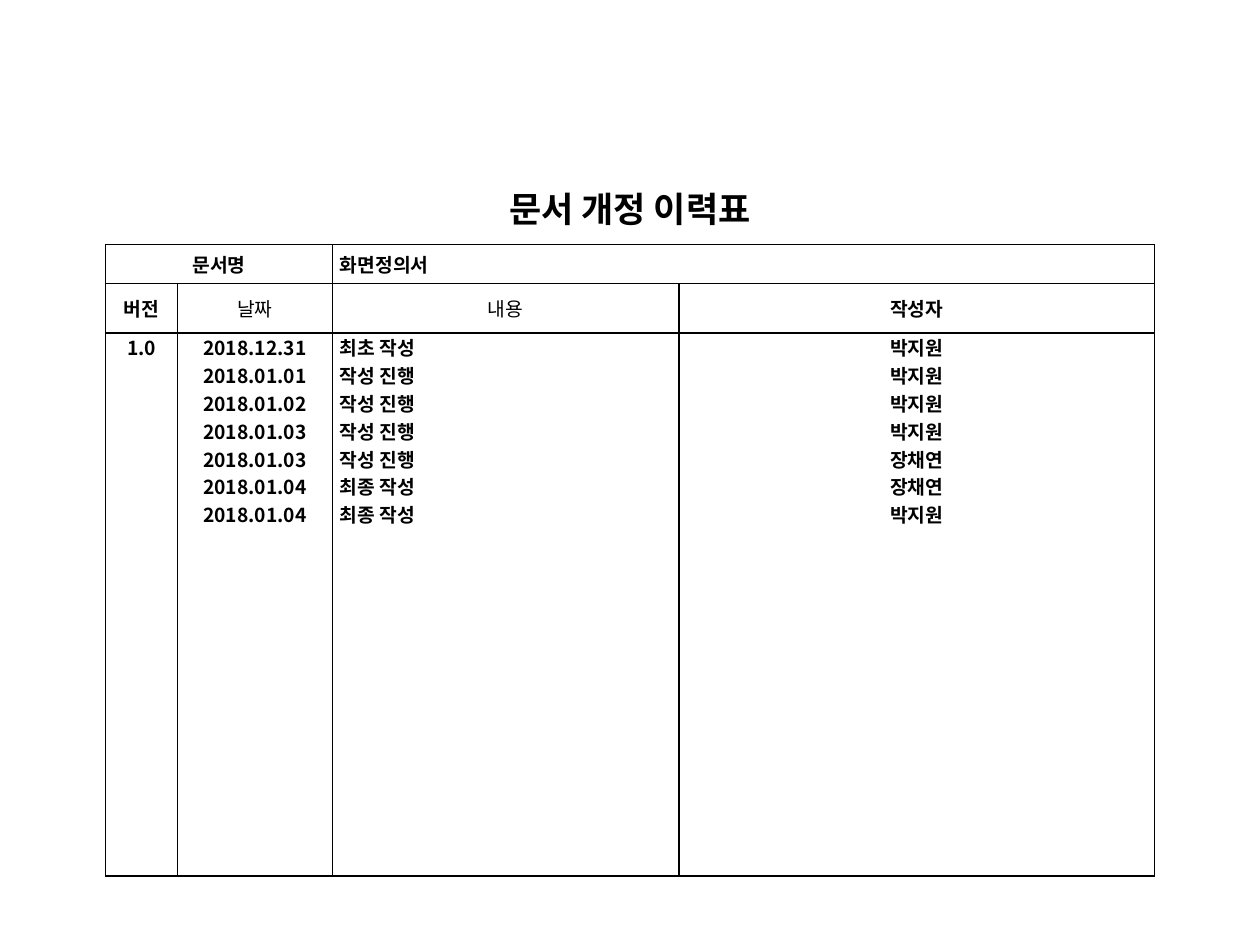
import pptx
import pptx.util
import pptx.dml.color
import pptx.enum.text
import pptx.oxml.ns
from lxml import etree

Cm = pptx.util.Cm
Pt = pptx.util.Pt
Align = pptx.enum.text.PP_ALIGN
Anchor = pptx.enum.text.MSO_ANCHOR
qn = pptx.oxml.ns.qn

TITLE = "문서 개정 이력표"
NAME = ("문서명", "화면정의서")
HEADS = ("버전", "날짜", "내용", "작성자")
LOG = [
    ("1.0", "2018.12.31", "최초 작성", "박지원"),
    ("", "2018.01.01", "작성 진행", "박지원"),
    ("", "2018.01.02", "작성 진행", "박지원"),
    ("", "2018.01.03", "작성 진행", "박지원"),
    ("", "2018.01.03", "작성 진행", "장채연"),
    ("", "2018.01.04", "최종 작성", "장채연"),
    ("", "2018.01.04", "최종 작성", "박지원"),
]
PLAIN = ("날짜", "내용")
COLS = (1.45, 3.12, 6.99, 9.58)
ROWS = (2.59, 0.79, 0.99, 10.95)
LEFT, TOP = 2.13, 2.34
THEME = {"font": "Noto Sans CJK KR", "ink": "000000", "page": "FFFFFF",
         "title": 20, "body": 11, "line": 1}


def write(cell, lines, size=THEME["body"], bold=True, align=Align.CENTER,
          anchor=Anchor.MIDDLE, base=0):
    cell.vertical_anchor = anchor
    cell.margin_left = cell.margin_right = Cm(0.15)
    cell.margin_top, cell.margin_bottom = 0, Cm(base)
    frame = cell.text_frame
    for i, line in enumerate(lines):
        para = frame.add_paragraph() if i else frame.paragraphs[0]
        para.alignment = align
        run = para.add_run()
        run.text = line
        font = run.font
        font.size, font.bold, font.name = Pt(size), bold, THEME["font"]
        font.color.rgb = pptx.dml.color.RGBColor.from_string(THEME["ink"])
        east = etree.SubElement(run.font._element, qn("a:ea"))
        east.set("typeface", THEME["font"])


def frame_cell(cell, top):
    cell.fill.background()
    props = cell._tc.get_or_add_tcPr()
    for i, side in enumerate("LRTB"):
        tone = THEME["page"] if top and side != "B" else THEME["ink"]
        line = etree.Element(qn("a:ln" + side), w=str(Pt(THEME["line"])))
        fill = etree.SubElement(line, qn("a:solidFill"))
        etree.SubElement(fill, qn("a:srgbClr"), val=tone)
        props.insert(i, line)


def main():
    deck = pptx.Presentation()
    deck.slide_width, deck.slide_height = Cm(25.4), Cm(19.05)
    slide = deck.slides.add_slide(deck.slide_layouts[6])
    grid = slide.shapes.add_table(
        len(ROWS), len(COLS), Cm(LEFT), Cm(TOP),
        Cm(sum(COLS)), Cm(sum(ROWS))).table
    grid.first_row = grid.horz_banding = False
    for col, width in zip(grid.columns, COLS):
        col.width = Cm(width)
    for row, height in zip(grid.rows, ROWS):
        row.height = Cm(height)
    for r in range(len(ROWS)):
        for c in range(len(COLS)):
            frame_cell(grid.cell(r, c), r == 0)

    grid.cell(0, 0).merge(grid.cell(0, 3))
    grid.cell(1, 0).merge(grid.cell(1, 1))
    grid.cell(1, 2).merge(grid.cell(1, 3))

    write(grid.cell(0, 0), [TITLE], size=THEME["title"],
          anchor=Anchor.BOTTOM, base=0.25)
    write(grid.cell(1, 0), NAME[:1])
    write(grid.cell(1, 2), NAME[1:], align=Align.JUSTIFY)
    for c, head in enumerate(HEADS):
        write(grid.cell(2, c), [head], bold=head not in PLAIN)
        lines = [entry[c] for entry in LOG if entry[c]]
        align = Align.JUSTIFY if head == "내용" else Align.CENTER
        write(grid.cell(3, c), lines, align=align, anchor=Anchor.TOP)
    deck.save("out.pptx")


if __name__ == "__main__":
    main()
